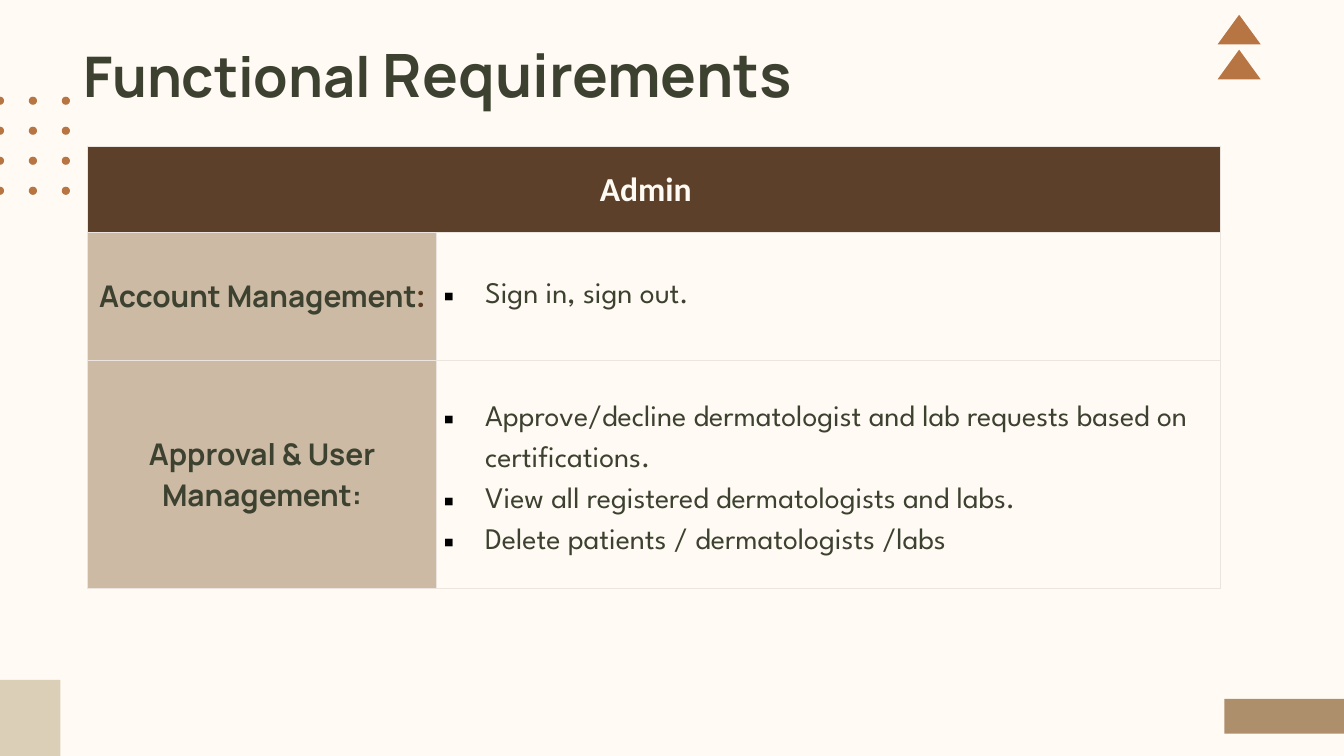
from dataclasses import dataclass
from itertools import product
from math import cos, pi, sin

from lxml import etree
from pptx import Presentation
from pptx.dml.color import RGBColor
from pptx.enum.shapes import MSO_SHAPE
from pptx.enum.text import MSO_ANCHOR, PP_ALIGN
from pptx.oxml.ns import qn
from pptx.util import Inches, Pt

RECTANGLE = MSO_SHAPE.RECTANGLE
MIDDLE = MSO_ANCHOR.MIDDLE
CENTER = PP_ALIGN.CENTER
LEFT = PP_ALIGN.LEFT

COLORS = {
    "background": "FFFBF4",
    "accent": "B77543",
    "sand": "DBCFB7",
    "tan": "AD8F6B",
    "text": "3D4130",
    "header": "5C402A",
    "label": "CCBAA4",
    "colon": "5C3B22",
    "border": "ECE5DF",
    "bullet": "000000",
}

FORMATS = {
    "title": {"name": "Manrope", "size": Pt(30), "bold": True},
    "title large": {"name": "Manrope", "size": Pt(32), "bold": True},
    "header": {"name": "Calibri", "size": Pt(18), "bold": True},
    "label": {"name": "Manrope", "size": Pt(16), "bold": True},
    "colon": {"name": "Roboto", "size": Pt(16), "bold": True},
    "item": {"name": "League Spartan", "size": Pt(16), "bold": False},
}

Outline = list[tuple[float, float]]


@dataclass
class Block:
    left: float
    top: float
    width: float
    height: float
    color: str


@dataclass
class Span:
    text: str
    style: str
    color: str = "text"


@dataclass
class Requirement:
    label: list[Span]
    items: list[str]
    line_spacing: float


BLOCKS = [
    Block(-0.55, 5.06, 1, 0.8, "sand"),
    Block(9.11, 5.2, 1.66, 0.26, "tan"),
]
REQUIREMENTS = [
    Requirement(
        [Span("Account Management", "label"), Span(":", "colon", "colon")],
        ["Sign in, sign out."],
        1.0,
    ),
    Requirement(
        [Span("Approval & User Management:", "label")],
        [
            "Approve/decline dermatologist and lab requests based on certifications.",
            "View all registered dermatologists and labs.",
            "Delete patients / dermatologists /labs",
        ],
        1.5,
    ),
]
COLUMN_WIDTHS = (2.6, 5.83)
ROW_HEIGHTS = (0.64, 0.95, 1.43)


def rgb(color: str) -> RGBColor:
    return RGBColor.from_string(COLORS[color])


def paint(shape, color: str) -> None:
    shape.shadow.inherit = False
    shape.fill.solid()
    shape.fill.fore_color.rgb = rgb(color)
    shape.line.fill.background()


def draw_block(slide, block: Block) -> None:
    lengths = (block.left, block.top, block.width, block.height)
    shape = slide.shapes.add_shape(RECTANGLE, *map(Inches, lengths))
    paint(shape, block.color)


def triangle(top: float) -> Outline:
    return [(9.22, top), (9.38, top + 0.22), (9.06, top + 0.22)]


def dot(column: int, row: int) -> Outline:
    center_x, center_y = 0.49 * column / 2, 0.75 + 0.67 * row / 3
    angles = [2 * pi * step / 24 for step in range(24)]
    return [(center_x + 0.03 * cos(angle), center_y + 0.03 * sin(angle)) for angle in angles]


def draw_outlines(slide, outlines: list[Outline], color: str) -> None:
    paths = [[(Inches(x), Inches(y)) for x, y in outline] for outline in outlines]
    builder = slide.shapes.build_freeform(*paths[0][0])
    for path in paths:
        if path is not paths[0]:
            builder.move_to(*path[0])
        builder.add_line_segments(path[1:], close=True)
    paint(builder.convert_to_shape(), color)


def write_spans(paragraph, spans: list[Span], alignment: int) -> None:
    paragraph.alignment = alignment
    for span in spans:
        run = paragraph.add_run()
        run.text = span.text
        for name, value in FORMATS[span.style].items():
            setattr(run.font, name, value)
        run.font.color.rgb = rgb(span.color)


def add_bullet(paragraph) -> None:
    properties = paragraph._p.get_or_add_pPr()
    properties.set("marL", str(Inches(0.31)))
    properties.set("indent", str(-Inches(0.31)))
    bullet_color = etree.SubElement(properties, qn("a:buClr"))
    etree.SubElement(bullet_color, qn("a:srgbClr"), val=COLORS["bullet"])
    etree.SubElement(properties, qn("a:buFont"), typeface="Calibri")
    etree.SubElement(properties, qn("a:buChar"), char="▪")


def format_cell(cell, fill: str | None = None) -> None:
    cell.vertical_anchor = MIDDLE
    for side in ("left", "right", "top", "bottom"):
        setattr(cell, f"margin_{side}", Inches(0.05))
    if fill:
        cell.fill.solid()
        cell.fill.fore_color.rgb = rgb(fill)
    else:
        cell.fill.background()
    properties = cell._tc.get_or_add_tcPr()
    for index, tag in enumerate(("a:lnL", "a:lnR", "a:lnT", "a:lnB")):
        border = etree.Element(qn(tag), w=str(Pt(0.75)))
        solid = etree.SubElement(border, qn("a:solidFill"))
        etree.SubElement(solid, qn("a:srgbClr"), val=COLORS["border"])
        properties.insert(index, border)


def draw_title(slide) -> None:
    box = slide.shapes.add_textbox(Inches(0.52), Inches(0.18), Inches(8.43), Inches(0.63))
    frame = box.text_frame
    frame.word_wrap = True
    for side in ("left", "right", "top", "bottom"):
        setattr(frame, f"margin_{side}", Inches(0.1))
    spans = [Span("Functional ", "title"), Span("Requirements", "title large")]
    write_spans(frame.paragraphs[0], spans, LEFT)


def draw_requirements(slide) -> None:
    table_frame = slide.shapes.add_table(
        len(ROW_HEIGHTS),
        len(COLUMN_WIDTHS),
        Inches(0.65),
        Inches(1.09),
        Inches(sum(COLUMN_WIDTHS)),
        Inches(sum(ROW_HEIGHTS)),
    )
    table = table_frame.table
    table.first_row = False
    table.horz_banding = False
    for column, width in zip(table.columns, COLUMN_WIDTHS):
        column.width = Inches(width)
    for row, height in zip(table.rows, ROW_HEIGHTS):
        row.height = Inches(height)
    table_frame.height = Inches(3.25)

    header = table.cell(0, 0)
    header.merge(table.cell(0, 1))
    for cell in table.rows[0].cells:
        format_cell(cell, "header")
    header.margin_right = Inches(0.17)
    write_spans(header.text_frame.paragraphs[0], [Span("Admin", "header", "background")], CENTER)

    for row, requirement in enumerate(REQUIREMENTS, start=1):
        label, details = table.cell(row, 0), table.cell(row, 1)
        format_cell(label, "label")
        format_cell(details)
        write_spans(label.text_frame.paragraphs[0], requirement.label, CENTER)
        frame = details.text_frame
        for index, item in enumerate(requirement.items):
            paragraph = frame.add_paragraph() if index else frame.paragraphs[0]
            add_bullet(paragraph)
            paragraph.line_spacing = requirement.line_spacing
            write_spans(paragraph, [Span(item, "item")], LEFT)


def main() -> None:
    presentation = Presentation()
    presentation.slide_width = Inches(10)
    presentation.slide_height = Inches(10 * 9 / 16)
    slide = presentation.slides.add_slide(presentation.slide_layouts[6])
    slide.background.fill.solid()
    slide.background.fill.fore_color.rgb = rgb("background")
    draw_outlines(slide, [triangle(0.11), triangle(0.37)], "accent")
    for block in BLOCKS:
        draw_block(slide, block)
    draw_title(slide)
    draw_requirements(slide)
    dots = [dot(column, row) for column, row in product(range(3), range(4))]
    draw_outlines(slide, dots, "accent")
    presentation.save("out.pptx")


if __name__ == "__main__":
    main()
